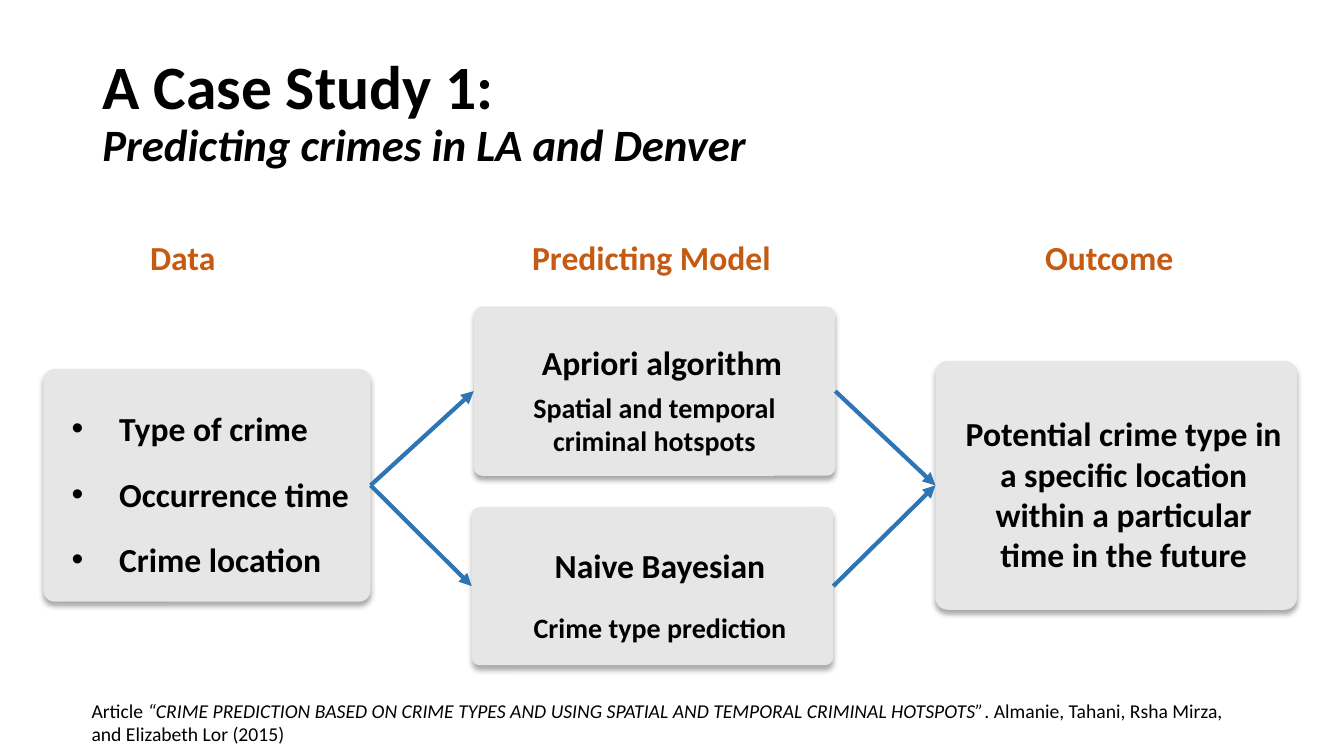
from lxml import etree
from pptx import Presentation
from pptx.dml.color import RGBColor
from pptx.enum.shapes import MSO_CONNECTOR, MSO_SHAPE
from pptx.enum.text import MSO_ANCHOR, PP_ALIGN
from pptx.oxml import parse_xml
from pptx.oxml.ns import qn
from pptx.util import Inches, Pt

ROUND_RECT, STRAIGHT = MSO_SHAPE.ROUNDED_RECTANGLE, MSO_CONNECTOR.STRAIGHT
MIDDLE, TOP = MSO_ANCHOR.MIDDLE, MSO_ANCHOR.TOP
LEFT, CENTER = PP_ALIGN.LEFT, PP_ALIGN.CENTER
LEFT_SIDE, RIGHT_SIDE = 1, 3

FONT = "Calibri"
BLACK, ORANGE, BLUE, GREY = "000000", "C55A11", "2E75B6", "E7E6E6"
COLS, ROWS = 40, 30
BEFORE, AFTER = 12, 6

SHADOW = """<a:effectLst xmlns:a="http://schemas.openxmlformats.org/drawingml/2006/main">
<a:outerShdw blurRad="50800" dist="38100" dir="5400000" algn="t" rotWithShape="0">
<a:srgbClr val="262626"><a:alpha val="40000"/></a:srgbClr></a:outerShdw></a:effectLst>"""

prs = Presentation()
prs.slide_width, prs.slide_height = Inches(13.33), Inches(7.5)
slide = prs.slides.add_slide(prs.slide_layouts[6])


def rgb(value):
    return RGBColor.from_string(value)


def grid(box):
    """Turn left, top, width, height in columns and rows into lengths."""
    col, row = prs.slide_width / COLS, prs.slide_height / ROWS
    return [round(n * unit) for n, unit in zip(box, (col, row, col, row))]


def add_run(p, text, size=24, color=BLACK, bold=False, italic=False):
    r = p.add_run()
    r.text = text
    r.font.name, r.font.size = FONT, Pt(size)
    r.font.bold, r.font.italic = bold, italic
    r.font.color.rgb = rgb(color)


def add_text_box(box, wrap=True, anchor=TOP):
    tf = slide.shapes.add_textbox(*grid(box)).text_frame
    tf.word_wrap, tf.vertical_anchor = wrap, anchor
    return tf.paragraphs[0]


def set_indent(p, left, hanging=0, bullet=None):
    pPr = p._p.get_or_add_pPr()
    pPr.set("marL", str(Inches(left)))
    pPr.set("indent", str(-Inches(hanging)))
    if bullet:
        font = etree.SubElement(pPr, qn("a:buFont"))
        font.set("typeface", "Arial")
        etree.SubElement(pPr, qn("a:buChar")).set("char", bullet)


def add_title(box, heading, subtitle):
    p = add_text_box(box, anchor=MIDDLE)
    p.line_spacing = 0.9
    add_run(p, heading, size=44, bold=True)
    p.add_line_break()
    add_run(p, subtitle, size=32, bold=True, italic=True)


def add_heading(box, text):
    add_run(add_text_box(box, wrap=False), text, color=ORANGE, bold=True)


def add_card(box):
    """Draw a grey card and return it."""
    sp = slide.shapes.add_shape(ROUND_RECT, *grid(box))
    sp.adjustments[0] = 0.05
    sp.fill.solid()
    sp.fill.fore_color.rgb = rgb(GREY)
    sp.line.fill.background()
    sp._element.spPr.append(parse_xml(SHADOW))
    tf = sp.text_frame
    tf.word_wrap, tf.vertical_anchor = True, MIDDLE
    tf.margin_top = Inches(0.05) + Pt(BEFORE)
    return sp


def fill_card(sp, lines, align=CENTER, left=0.15, hanging=0, bullet=None):
    """Write (text, size, spaced) lines; spaced lines are indented too."""
    tf = sp.text_frame
    for i, (text, size, spaced) in enumerate(lines):
        p = tf.paragraphs[0] if i == 0 else tf.add_paragraph()
        p.alignment = align
        if spaced:
            set_indent(p, left, hanging, bullet)
            p.space_before, p.space_after = Pt(BEFORE if i else 0), Pt(AFTER)
        add_run(p, text, size=size, bold=True)
    return sp


def add_arrow(start, end):
    """Join the right side of one card to the left side of the next."""
    line = slide.shapes.add_connector(STRAIGHT, 0, 0, 0, 0)
    line.begin_connect(start, RIGHT_SIDE)
    line.end_connect(end, LEFT_SIDE)
    line.line.color.rgb, line.line.width = rgb(BLUE), Pt(3)
    etree.SubElement(line.line._get_or_add_ln(), qn("a:tailEnd")).set("type", "triangle")
    etree.SubElement(line._element.spPr, qn("a:effectLst"))


def add_citation(box, parts):
    p = add_text_box(box)
    for text, italic in parts:
        add_run(p, text, size=14, italic=italic)


# Title
add_title((2.75, 1.6, 34.5, 5.8), "A Case Study 1:", "Predicting crimes in LA and Denver")

# Column headings
for left, width, text in [(4.17, 2.58, "Data"), (15.54, 7.77, "Predicting Model"),
                          (30.81, 4.47, "Outcome")]:
    add_heading((left, 9.2, width, 2), text)

# Cards
data = fill_card(
    add_card((1.29, 14.64, 9.74, 9.24)),
    [(text, 24, True) for text in ("Type of crime", "Occurrence time", "Crime location")],
    align=LEFT, left=0.62, hanging=0.47, bullet="•")
bayes = fill_card(
    add_card((14.04, 20.12, 10.76, 6.28)),
    [("Naive Bayesian", 24, True), ("Crime type prediction", 20, True)])
apriori = fill_card(
    add_card((14.1, 12.16, 10.76, 6.72)),
    [("Apriori algorithm", 24, True), ("Spatial and temporal criminal hotspots", 20, False)])
outcome = fill_card(
    add_card((27.84, 14.32, 10.76, 9.88)),
    [("Potential crime type in a specific location within a particular time in the future",
      24, True)])

# Arrows through both models
for model in (apriori, bayes):
    add_arrow(data, model)
    add_arrow(model, outcome)

# Citation
add_citation((2.43, 27.52, 35.13, 2.28), [
    ("Article ", False),
    ("“CRIME PREDICTION BASED ON CRIME TYPES AND USING SPATIAL AND TEMPORAL "
     "CRIMINAL HOTSPOTS”", True),
    (". Almanie, Tahani, Rsha Mirza, and Elizabeth Lor (2015)", False)])

prs.save("out.pptx")
